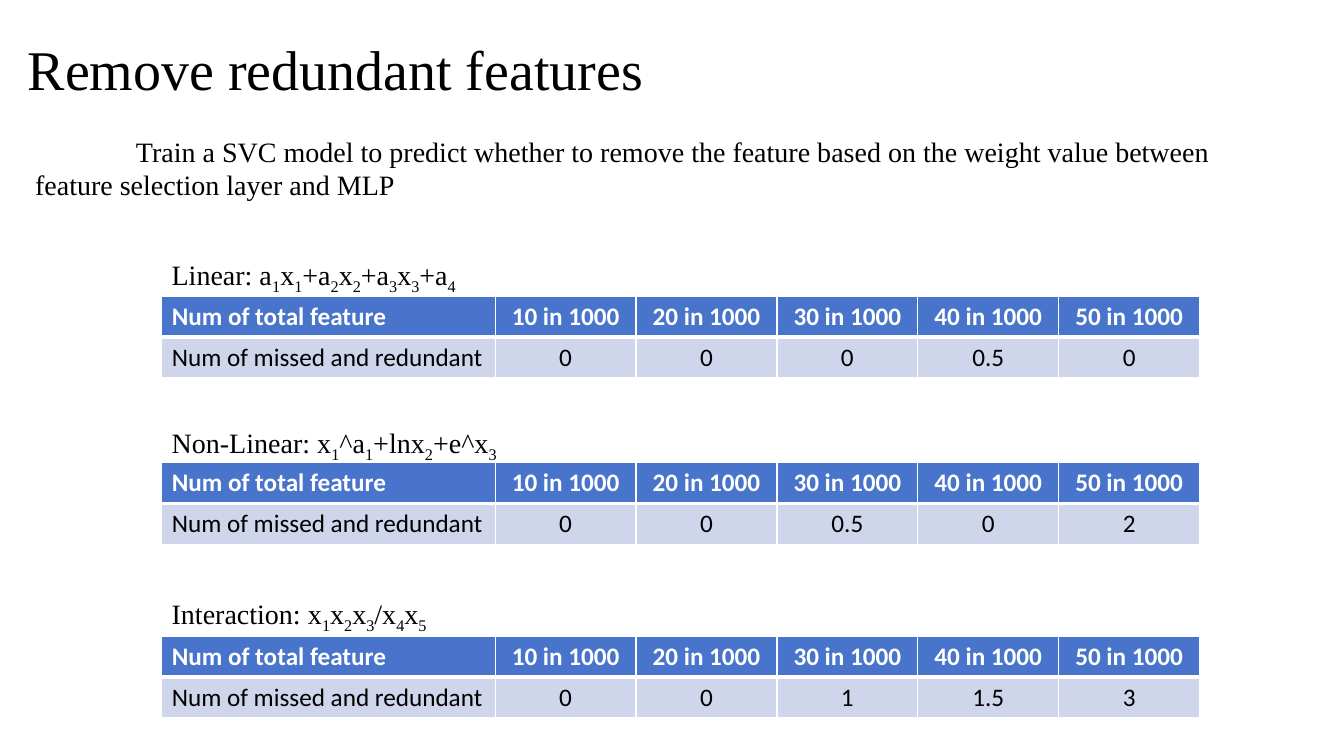
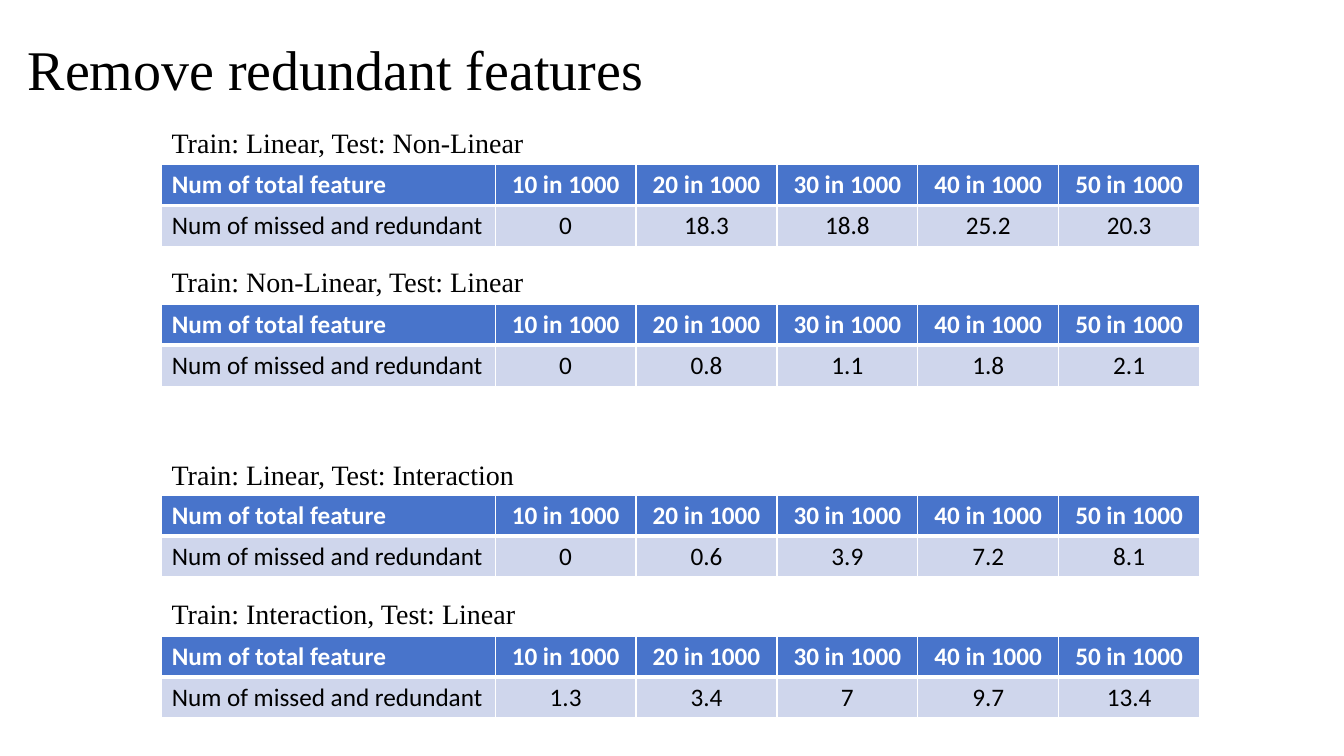
from dataclasses import dataclass
from itertools import groupby

from lxml.etree import SubElement as Sub
from pptx import Presentation
from pptx.dml.color import RGBColor as RGB
from pptx.enum.text import MSO_ANCHOR as Anchor, MSO_AUTO_SIZE as Auto, PP_ALIGN as Align
from pptx.oxml.ns import qn
from pptx.util import Pt


@dataclass(frozen=True)
class Theme:
    ink: RGB = RGB(0x00, 0x00, 0x00)
    white: RGB = RGB(0xFF, 0xFF, 0xFF)
    head: RGB = RGB(0x48, 0x74, 0xCB)
    band: RGB = RGB(0xCF, 0xD6, 0xEC)
    serif: str = "Times New Roman"
    sans: str = "Calibri"
    title: int = 40
    text: int = 20
    cell: int = 18
    thin: int = 1
    thick: int = 3


LOOK = Theme()
LEFT = 115.5
LABEL = 238.2
VALUE = 100.65
ROW = 29.2
LINE = 31.6
TITLE = "Remove redundant features"
INTRO = (
    "Train a SVC model to predict whether to remove the feature based on "
    "the weight value between feature selection layer and MLP"
)
NAMES = ["Num of total feature", "Num of missed and redundant"]
SIZES = [f"{n} in 1000" for n in range(10, 60, 10)]

FORMS = [
    ("Linear: a1x1+a2x2+a3x3+a4", 180.7, 211.5, ["0", "0", "0", "0.5", "0"]),
    ("Non-Linear: x1^a1+lnx2+e^x3", 300.2, 330.5, ["0", "0", "0.5", "0", "2"]),
    ("Interaction: x1x2x3/x4x5", 422.8, 454.5, ["0", "0", "1", "1.5", "3"]),
]
TESTS = [
    ("Train: Linear, Test: Non-Linear", 85.8, 117.5,
     ["0", "18.3", "18.8", "25.2", "20.3"]),
    ("Train: Non-Linear, Test: Linear", 185.7, 217.4,
     ["0", "0.8", "1.1", "1.8", "2.1"]),
    ("Train: Linear, Test: Interaction", 323.2, 353.7,
     ["0", "0.6", "3.9", "7.2", "8.1"]),
    ("Train: Interaction, Test: Linear", 422.8, 454.5,
     ["1.3", "3.4", "7", "9.7", "13.4"]),
]


def style(run, face, size, color, bold=False):
    font = run.font
    font.name, font.size, font.bold = face, Pt(size), bold
    font.color.rgb = color


def add_text(slide, text, x, y, w, h, size):
    frame = slide.shapes.add_textbox(Pt(x), Pt(y), Pt(w), Pt(h)).text_frame
    frame.word_wrap = True
    frame.auto_size = Auto.SHAPE_TO_FIT_TEXT
    para = frame.paragraphs[0]
    for low, part in groupby(text, str.isdigit):
        run = para.add_run()
        run.text = "".join(part)
        style(run, LOOK.serif, size, LOOK.ink)
        if low:
            run.font._element.set("baseline", "-25000")
    return para


def add_edge(cell, side, width):
    props = cell._tc.get_or_add_tcPr()
    line = Sub(props, qn(f"a:ln{side}"), w=str(Pt(width)))
    fill = Sub(line, qn("a:solidFill"))
    Sub(fill, qn("a:srgbClr"), val=str(LOOK.white))


def fill_cell(cell, text, head, align):
    heavy = "B" if head else "T"
    for side in "LRTB":
        add_edge(cell, side, LOOK.thick if side == heavy else LOOK.thin)
    cell.fill.solid()
    cell.fill.fore_color.rgb = LOOK.head if head else LOOK.band
    cell.vertical_anchor = Anchor.MIDDLE
    para = cell.text_frame.paragraphs[0]
    para.text = text
    para.alignment = align
    color = LOOK.white if head else LOOK.ink
    style(para.runs[0], LOOK.sans, LOOK.cell, color, head)


def add_grid(slide, x, y, width, rows, align):
    count = len(rows[0])
    grid = slide.shapes.add_table(
        len(rows), count, Pt(x), Pt(y), Pt(width * count), Pt(ROW * len(rows))
    ).table
    grid.horz_banding = False
    for col in grid.columns:
        col.width = Pt(width)
    for r, row in enumerate(rows):
        grid.rows[r].height = Pt(ROW)
        for c, text in enumerate(row):
            fill_cell(grid.cell(r, c), text, r == 0, align)


def add_panel(slide, label, y, top, values):
    add_grid(slide, LEFT + LABEL, top, VALUE, [SIZES, values], Align.CENTER)
    add_grid(slide, LEFT, top, LABEL, [[name] for name in NAMES], Align.LEFT)
    add_text(slide, label, LEFT, y, 270, LINE, LOOK.text)


def add_page(deck, panels):
    slide = deck.slides.add_slide(deck.slide_layouts[6])
    add_text(slide, TITLE, 12.8, 20.9, 934.6, 55.4, LOOK.title)
    for panel in panels:
        add_panel(slide, *panel)
    return slide


def main():
    deck = Presentation()
    deck.slide_width, deck.slide_height = Pt(960), Pt(540)
    first = add_page(deck, FORMS)
    intro = add_text(first, INTRO, 18, 92.2, 884.9, 55.4, LOOK.text)
    intro._p.get_or_add_pPr().set("indent", str(Pt(72)))
    add_page(deck, TESTS)
    deck.save("out.pptx")


if __name__ == "__main__":
    main()
